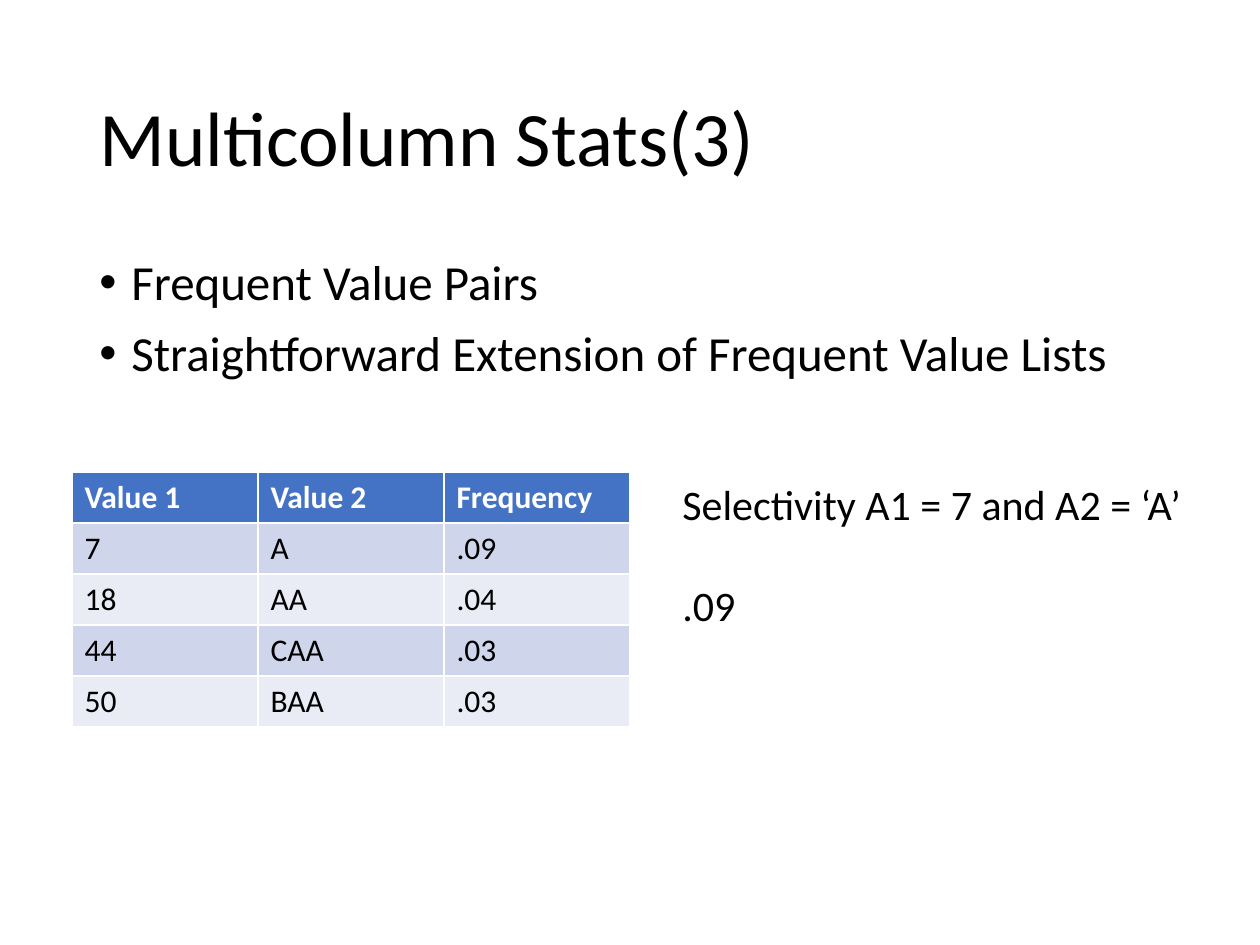
"""Build the slide on multicolumn statistics with frequent value pairs."""
import pptx
import pptx.dml.color
import pptx.enum.text
import pptx.oxml.ns
import pptx.util
from lxml import etree

TITLE = ["Multicolumn Stats(3)"]
BULLETS = ["Frequent Value Pairs", "Straightforward Extension of Frequent Value Lists"]
NOTE = ["Selectivity A1 = 7 and A2 = ‘A’", ".09"]
FREQUENCIES = [
    ("Value 1", "Value 2", "Frequency"),
    ("7", "A", ".09"),
    ("18", "AA", ".04"),
    ("44", "CAA", ".03"),
    ("50", "BAA", ".03"),
]

FONT = "Calibri"
BLACK = pptx.dml.color.RGBColor(0x00, 0x00, 0x00)
WHITE = pptx.dml.color.RGBColor(0xFF, 0xFF, 0xFF)
HEADER_BLUE = pptx.dml.color.RGBColor(0x44, 0x72, 0xC4)
BANDS = (
    pptx.dml.color.RGBColor(0xE9, 0xEB, 0xF5),
    pptx.dml.color.RGBColor(0xCF, 0xD5, 0xEA),
)

PAGE_SIZE = (1260, 945)
TITLE_BOX = (87, 50, 1086, 183)
BODY_BOX = (87, 252, 1086, 600)
NOTE_BOX = (670, 472, 534, 165)
TABLE_CORNER = (72, 472)
COLUMN_WIDTH, ROW_HEIGHT = 186, 51
BULLET_INDENT = 32


def px(length):
    return pptx.util.Emu(length * 914400 // 126)


def style_font(para, size, color=BLACK, bold=False):
    para.font.name = FONT
    para.font.size = pptx.util.Pt(size)
    para.font.color.rgb = color
    para.font.bold = bold


def add_text(page, place, lines, size, line_spacing=1.0, gap=0):
    box = page.shapes.add_textbox(*map(px, place))
    frame = box.text_frame
    frame.word_wrap = True
    frame.text = "\n".join(lines)
    for para in frame.paragraphs:
        style_font(para, size)
        para.line_spacing = line_spacing
        para.space_before = pptx.util.Pt(gap)
    return frame


def add_bullet(para):
    properties = para._p.get_or_add_pPr()
    properties.set("marL", str(px(BULLET_INDENT)))
    properties.set("indent", str(-px(BULLET_INDENT)))
    for tag, name, value in (("a:buFont", "typeface", "Arial"), ("a:buChar", "char", "•")):
        mark = etree.Element(pptx.oxml.ns.qn(tag), {name: value})
        properties.insert_element_before(mark, "a:tabLst", "a:defRPr", "a:extLst")


def add_frequency_table(page):
    row_count, column_count = len(FREQUENCIES), len(FREQUENCIES[0])
    size = (COLUMN_WIDTH * column_count, ROW_HEIGHT * row_count)
    table = page.shapes.add_table(
        row_count, column_count, *map(px, TABLE_CORNER + size)
    ).table
    for row, values in enumerate(FREQUENCIES):
        header = row == 0
        for column, value in enumerate(values):
            cell = table.cell(row, column)
            cell.text = value
            cell.fill.solid()
            cell.fill.fore_color.rgb = HEADER_BLUE if header else BANDS[row % 2]
            style_font(cell.text_frame.paragraphs[0], 18, WHITE if header else BLACK, header)


def main():
    deck = pptx.Presentation()
    deck.slide_width, deck.slide_height = map(px, PAGE_SIZE)
    page = deck.slides.add_slide(deck.slide_layouts[6])

    title = add_text(page, TITLE_BOX, TITLE, 44, line_spacing=0.9)
    title.vertical_anchor = pptx.enum.text.MSO_ANCHOR.MIDDLE

    body = add_text(page, BODY_BOX, BULLETS, 28, line_spacing=0.9, gap=10)
    for para in body.paragraphs:
        add_bullet(para)

    add_frequency_table(page)

    note = add_text(page, NOTE_BOX, NOTE, 24)
    note.paragraphs[-1].space_before = pptx.util.Pt(29)

    deck.save("out.pptx")


if __name__ == "__main__":
    main()
